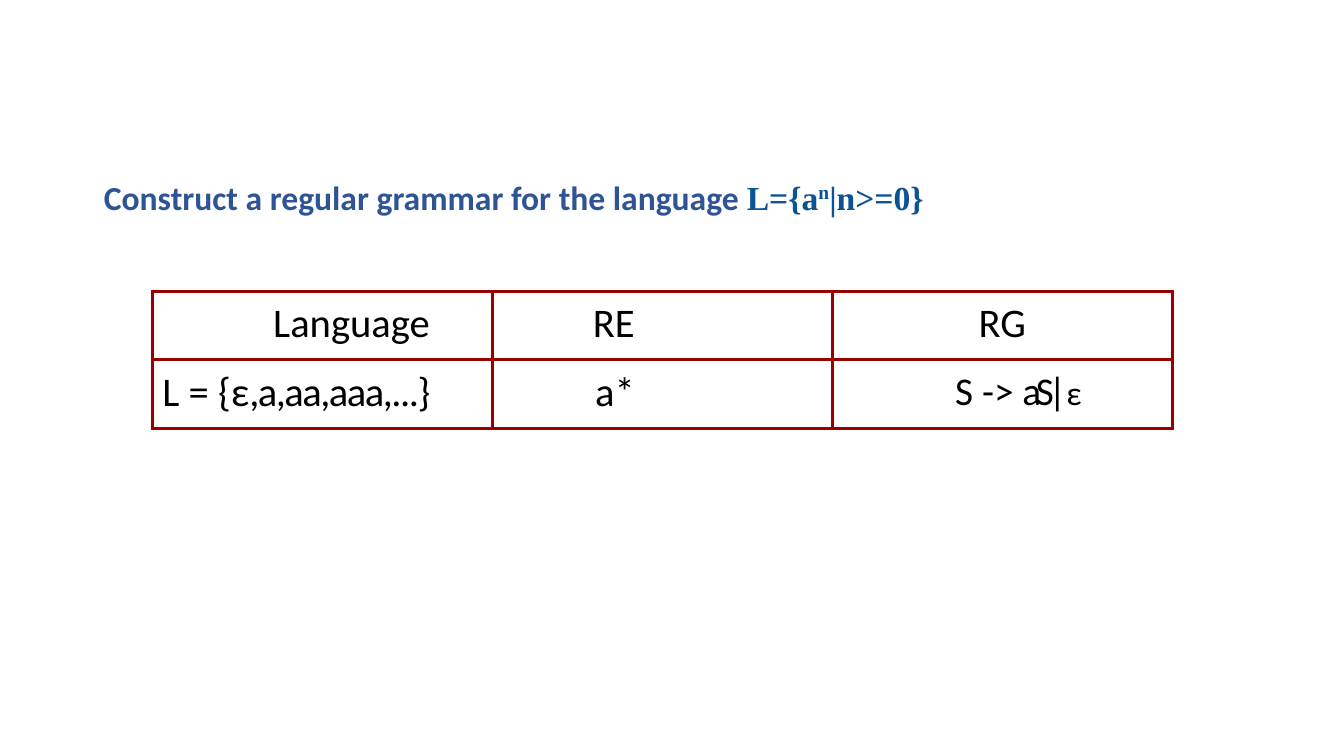
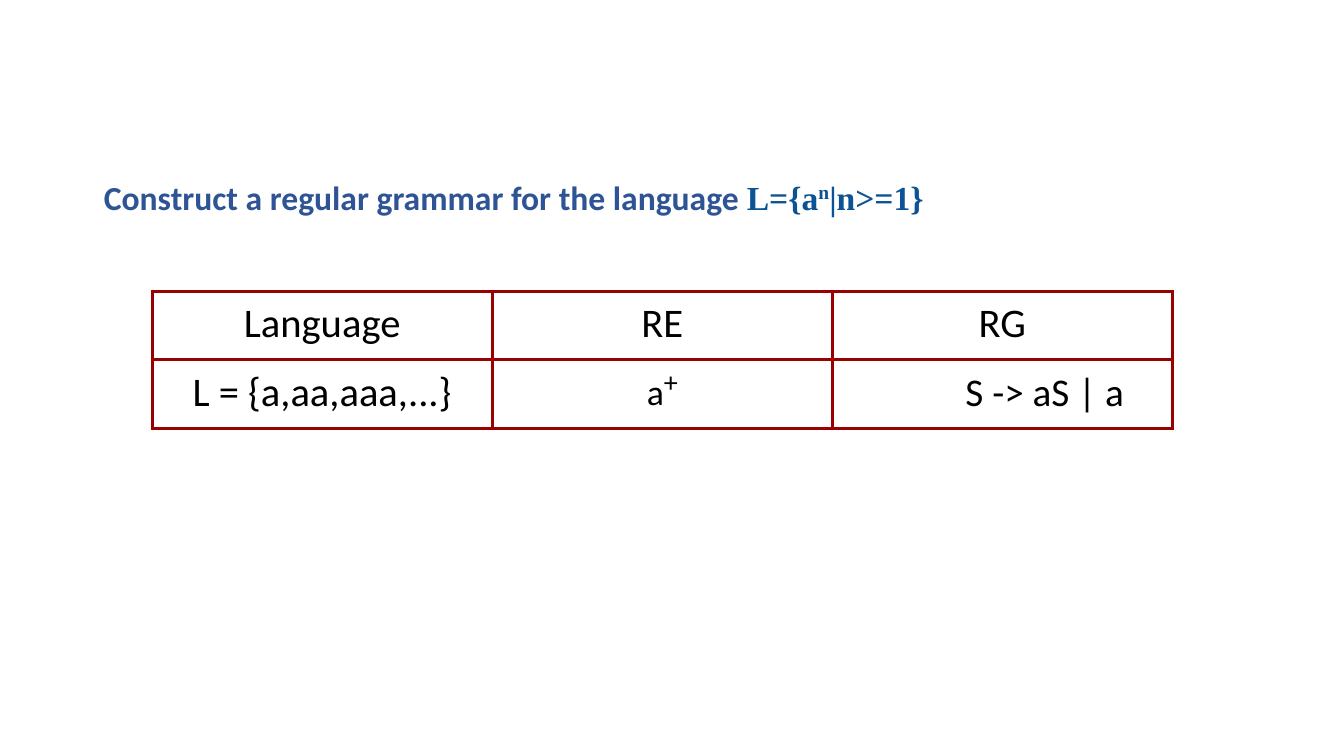
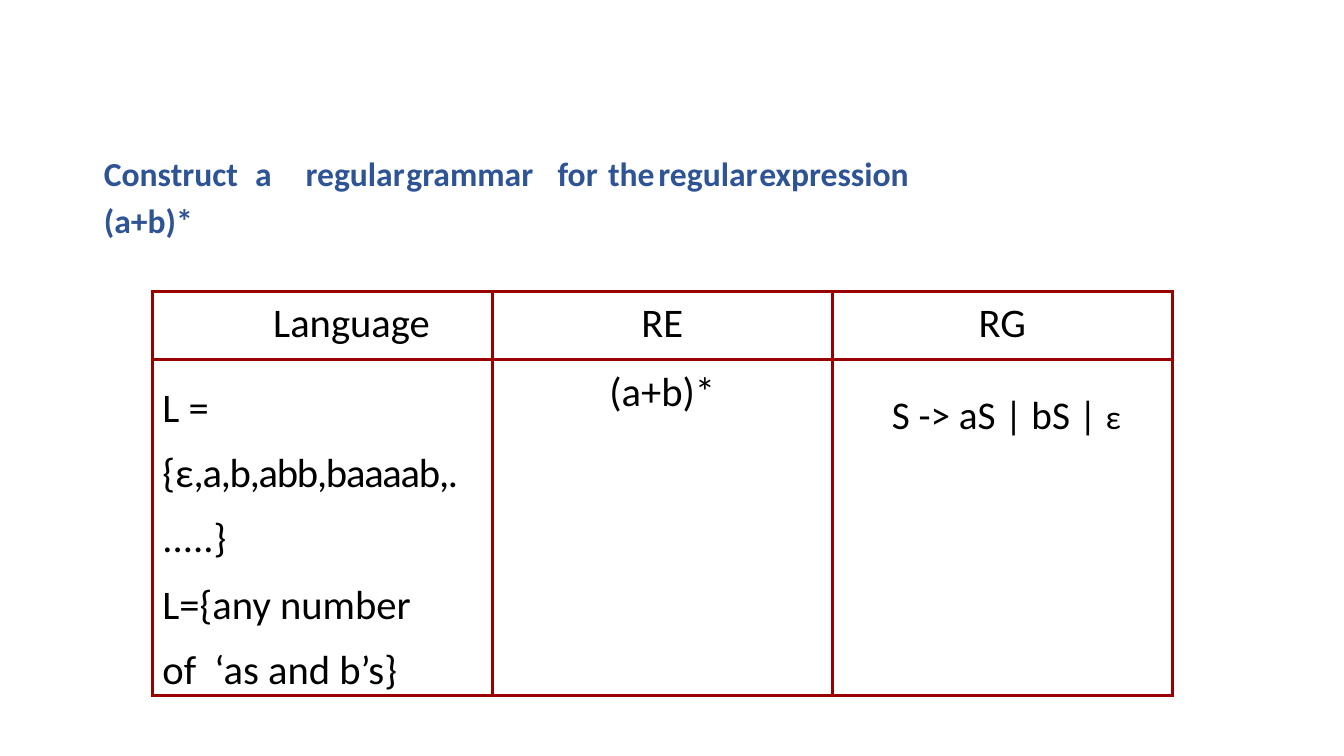
from lxml.etree import SubElement
from pptx import Presentation
from pptx.dml.color import RGBColor
from pptx.enum.text import MSO_ANCHOR, MSO_AUTO_SIZE, PP_ALIGN
from pptx.oxml import parse_xml
from pptx.oxml.ns import nsdecls, qn
from pptx.util import Inches, Pt


def hue(code):
    """Turn a hex string into a colour."""
    return RGBColor.from_string(code)


def run(text, **look):
    """Describe a run by its text and its differences from the base style."""
    return text, look


def para(*runs, **form):
    """Describe a paragraph; a plain string is a run in the base style."""
    return [r if isinstance(r, tuple) else run(r) for r in runs], form


def cell(*paras, top=1.07):
    """Describe a table cell by its paragraphs and its top margin."""
    return paras, top


def mid(*runs, **form):
    """Describe a cell with one centred paragraph."""
    return cell(para(*runs, align=PP_ALIGN.CENTER, **form))


class Deck:
    """Hold the style and the current slide; lengths are percent of the slide."""

    font, serif = "Calibri", "Times New Roman"
    blue, deep, ink, rule = "2F5496", "0B5394", "000000", "990000"
    head, body, edge = 24, 29, 2.25
    left, start, span = 7.73, 11.33, 75.9
    top, row = 38.53, 9.07

    def __init__(self):
        """Open a wide deck."""
        self.show = Presentation()
        self.show.slide_width = Inches(13.33)
        self.show.slide_height = Inches(7.5)
        self.slide = None

    def wide(self, share):
        """Give a share of the slide width."""
        return round(self.show.slide_width * share / 100)

    def high(self, share):
        """Give a share of the slide height."""
        return round(self.show.slide_height * share / 100)

    def style(self, piece, size, tint, bold=False, face=None, base=0, gap=0):
        """Format one run."""
        font = piece.font
        font.name = face or self.font
        font.size, font.bold = Pt(size), bold
        font.color.rgb = hue(tint)
        mark = piece._r.get_or_add_rPr()
        if base:
            mark.set("baseline", str(base * 1000))
        if gap:
            mark.set("spc", str(round(gap * 100)))

    def form(self, line, align=PP_ALIGN.LEFT, left=0, right=0, lead=None,
             before=0, tabs=()):
        """Format one paragraph."""
        line.alignment = align
        line.space_before = Pt(before)
        if lead:
            line.line_spacing = lead
        props = line._p.get_or_add_pPr()
        props.set("marL", str(self.wide(left)))
        props.set("marR", str(self.wide(right)))
        props.set("indent", "0")
        if tabs:
            stops = SubElement(props, qn("a:tabLst"))
            for stop in tabs:
                SubElement(stops, qn("a:tab"), pos=str(self.wide(stop)), algn="l")

    def fill(self, frame, paras, **base):
        """Fill a text frame with described paragraphs."""
        for n, (runs, form) in enumerate(paras):
            line = frame.add_paragraph() if n else frame.paragraphs[0]
            self.form(line, **form)
            for text, look in runs:
                piece = line.add_run()
                piece.text = text
                self.style(piece, **{**base, **look})

    def title(self, text, top=23.2, tall=5.5):
        """Start a slide with its title."""
        self.slide = self.show.slides.add_slide(self.show.slide_layouts[5])
        box = self.slide.shapes.title
        box.left, box.top = self.wide(self.left), self.high(top)
        box.width, box.height = self.wide(63), self.high(tall)
        frame = box.text_frame
        frame.margin_left = frame.margin_right = frame.margin_bottom = 0
        frame.margin_top = Inches(0.01)
        frame.word_wrap = True
        frame.auto_size = MSO_AUTO_SIZE.SHAPE_TO_FIT_TEXT
        frame.vertical_anchor = MSO_ANCHOR.TOP
        self.fill(frame, [text], size=self.head, tint=self.blue, bold=True)

    def power(self, least):
        """Start a slide about powers of a with a least exponent."""
        look = dict(face=self.serif, tint=self.deep)
        self.title(para("Construct a regular grammar for the language ",
                        run("L={a", **look), run("n", base=32, **look),
                        run(f"|n>={least}}}", **look)))

    def frame(self, spot):
        """Draw the four borders of a cell."""
        props = spot._tc.get_or_add_tcPr()
        for n, side in enumerate("LRTB"):
            props.insert(n, parse_xml(
                f'<a:ln{side} {nsdecls("a")} w="{int(Pt(self.edge))}"><a:solidFill>'
                f'<a:srgbClr val="{self.rule}"/></a:solidFill></a:ln{side}>'))

    def table(self, *rows, last=None):
        """Add a ruled table with equal columns."""
        sizes = [self.row] * (len(rows) - 1) + [last or self.row]
        grid = self.slide.shapes.add_table(
            len(rows), len(rows[0]), self.wide(self.start), self.high(self.top),
            self.wide(self.span), self.high(sum(sizes))).table
        grid.first_row = grid.horz_banding = False
        for r, (cells, size) in enumerate(zip(rows, sizes)):
            grid.rows[r].height = self.high(size)
            for c, (paras, top) in enumerate(cells):
                spot = grid.cell(r, c)
                spot.margin_left = spot.margin_right = spot.margin_bottom = 0
                spot.margin_top = self.high(top)
                spot.vertical_anchor = MSO_ANCHOR.TOP
                spot.fill.background()
                self.frame(spot)
                self.fill(spot.text_frame, paras, size=self.body, tint=self.ink)


def main():
    """Build and save the three slides."""
    deck = Deck()
    shift = cell(para("Language", left=9))
    side = dict(align=PP_ALIGN.RIGHT, right=14.7)

    deck.power(0)
    deck.table(
        [shift, cell(para("RE", **side)), mid("RG")],
        [cell(para("L = ", run("{", gap=-1.1), "ε",
                   run(",a,aa,aaa,...}", gap=-1.1), left=0.75)),
         cell(para("a*", **side)),
         mid(run("S -> ", size=28), run("aS|", size=28, gap=-3.8),
             run("ε", size=24), left=2.4)])

    deck.power(1)
    deck.table(
        [mid("Language"), mid("RE"), mid("RG")],
        [mid("L = {a,aa,aaa,...}"),
         cell(para(run("a", size=44, base=-21), run("+", size=20),
                   align=PP_ALIGN.CENTER, lead=Pt(39.6)), top=0),
         cell(para(run("S -> aS | a", size=28), left=9.9), top=1.2)])

    deck.title(
        para("Construct\ta\tregular\tgrammar\tfor\tthe\tregular\texpression  (a+b)*",
             lead=1.15, tabs=(11.48, 14.1, 22.88, 33.75, 38.18, 43.05, 51.83)),
        top=19.33, tall=12.1)
    word = dict(left=0.75, lead=Pt(46.5))
    deck.table(
        [shift, mid("RE"), mid("RG")],
        [cell(para("L =", **word),
              para(run("{", gap=-0.9), "ε",
                   run(",a,b,abb,baaaab,.", gap=-0.9), **word),
              para(".....}", **word),
              para("L={any number of  ‘as and b’s}", right=4.5, before=1.6, **word)),
         mid("(a+b)*"),
         cell(para(run("S -> aS | bS | ", size=28), run("ε", size=24),
                   align=PP_ALIGN.CENTER, left=0.6), top=4.27)],
        last=44.27)

    deck.show.save("out.pptx")


if __name__ == "__main__":
    main()
